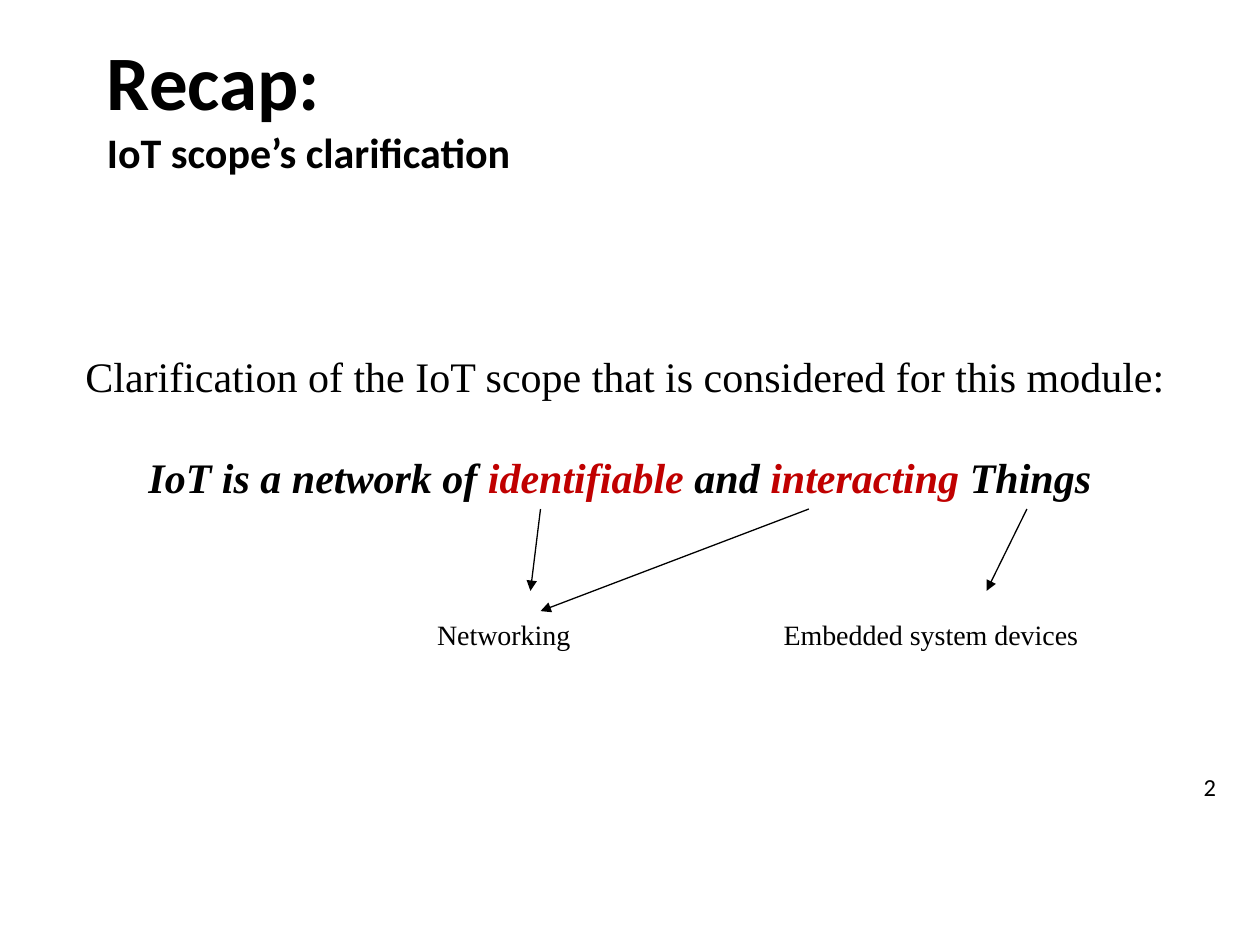
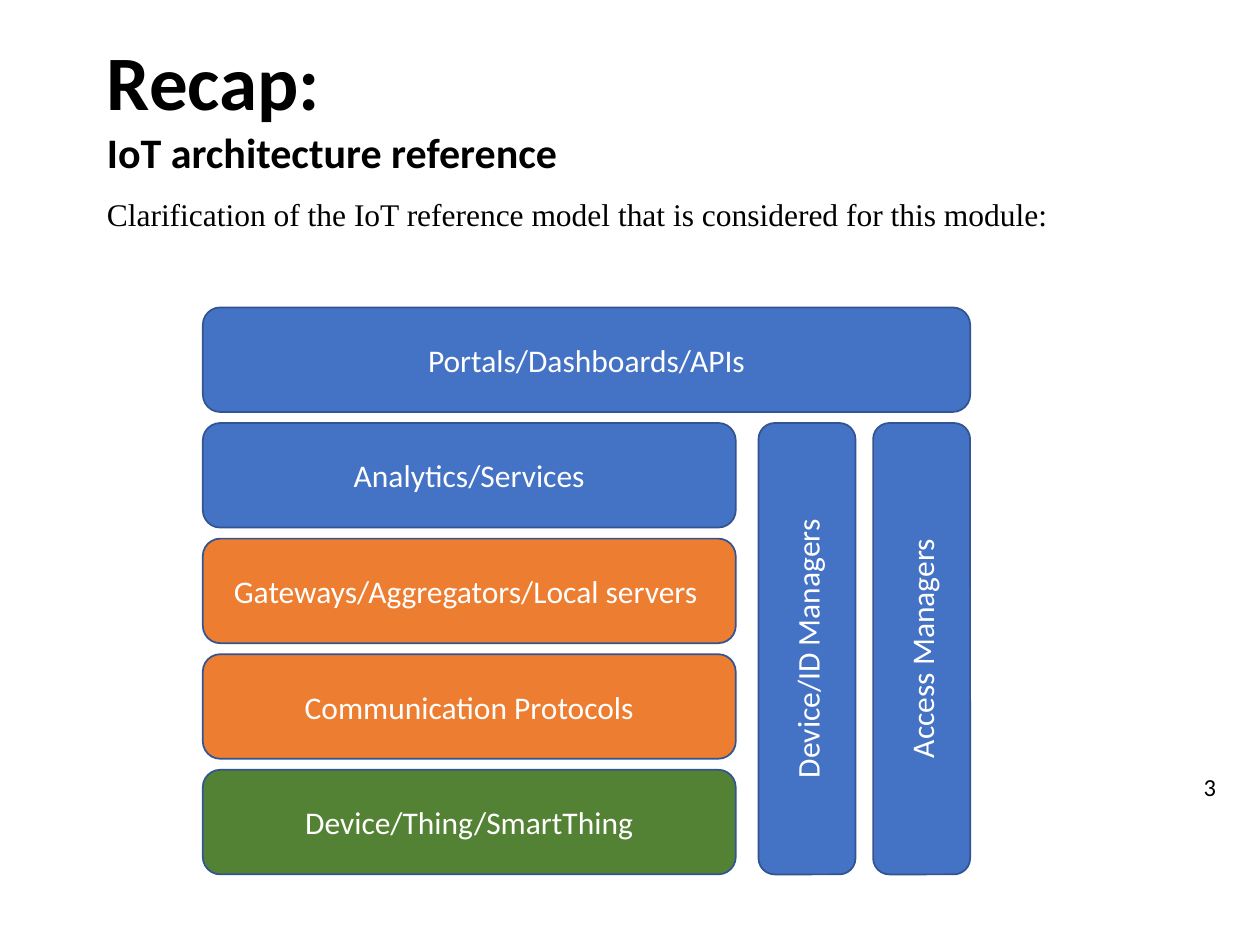
from dataclasses import dataclass

from lxml import etree
from pptx import Presentation
from pptx.dml.color import RGBColor
from pptx.enum.shapes import MSO_CONNECTOR, MSO_SHAPE
from pptx.enum.text import MSO_ANCHOR, PP_ALIGN
from pptx.oxml.ns import qn
from pptx.util import Inches, Pt

LEFT, CENTER, RIGHT = PP_ALIGN.LEFT, PP_ALIGN.CENTER, PP_ALIGN.RIGHT
MIDDLE = MSO_ANCHOR.MIDDLE
ROUNDED = MSO_SHAPE.ROUNDED_RECTANGLE
STRAIGHT = MSO_CONNECTOR.STRAIGHT


@dataclass(frozen=True)
class Theme:
    sans: str = "Calibri"
    serif: str = "Times New Roman"
    black: str = "000000"
    white: str = "FFFFFF"
    red: str = "C00000"
    blue: str = "4472C4"
    orange: str = "ED7D31"
    green: str = "548235"
    outline: str = "325491"
    title: int = 44
    heading: int = 24
    body: int = 18
    label: int = 16
    number: int = 14


T = Theme()


def rgb(value):
    return RGBColor.from_string(value)


def style(p, size, font, color=T.black, bold=None, italic=None, align=LEFT):
    p.alignment = align
    f = p.font
    f.size, f.name, f.bold, f.italic = Pt(size), font, bold, italic
    f.color.rgb = rgb(color)


def add_text(s, box, text, size, font, wrap=True, **kw):
    """Add a text box at box (inches) and return its text frame."""
    tf = s.shapes.add_textbox(*map(Inches, box)).text_frame
    tf.word_wrap = wrap
    p = tf.paragraphs[0]
    p.text = text
    style(p, size, font, **kw)
    return tf


def add_recap_slide(prs, subtitle, number):
    """Add a blank slide with the shared title and slide number."""
    s = prs.slides.add_slide(prs.slide_layouts[6])
    tf = add_text(s, (0.75, 0.25, 8.5, 1.17), "Recap:", T.title, T.sans, bold=True)
    tf.vertical_anchor = MIDDLE
    p = tf.add_paragraph()
    p.text = subtitle
    style(p, T.heading, T.sans, bold=True)
    add_text(s, (7.67, 6.08, 2.08, 0.5), str(number), T.number, T.sans, align=RIGHT)
    return s


def add_arrow(s, start, end):
    c = s.shapes.add_connector(STRAIGHT, *map(Inches, (*start, *end)))
    c.line.color.rgb = rgb(T.black)
    c.line.width = Pt(0.75)
    ln = c.line._get_or_add_ln()
    etree.SubElement(ln, qn("a:tailEnd"), type="triangle")
    etree.SubElement(c._element.spPr, qn("a:effectLst"))


def add_definition(s, box):
    """Place the scope statement and the arrows to its two topics."""
    left, top, width, height = box
    tf = add_text(s, box, "Clarification of the IoT scope that is considered for this module:",
                  T.heading, T.serif, wrap=False)
    p = tf.add_paragraph()
    style(p, T.heading, T.serif, bold=True, italic=True, align=CENTER)
    p.space_before = Pt(29)
    for text, color in (("IoT is a network of ", T.black), ("identifiable", T.red),
                        (" and ", T.black), ("interacting", T.red),
                        (" Things ", T.black)):
        r = p.add_run()
        r.text = text
        r.font.color.rgb = rgb(color)

    bottom = top + height
    for text, x, w in (("Networking", 2.79, 1.39),
                       ("Embedded system devices", 5.54, 2.58)):
        add_text(s, (left + x, bottom + 0.81, w, 0.37), text, T.label, T.serif)
    for x1, x2, drop in ((5.84, 3.71, 0.81), (3.71, 3.63, 0.65), (7.57, 7.25, 0.65)):
        add_arrow(s, (left + x1, bottom), (left + x2, bottom + drop))


def add_block(s, box, text, fill, vertical=False):
    sp = s.shapes.add_shape(ROUNDED, *map(Inches, box))
    sp.shadow.inherit = False
    sp.fill.solid()
    sp.fill.fore_color.rgb = rgb(fill)
    sp.line.color.rgb = rgb(T.outline)
    sp.line.width = Pt(1)
    tf = sp.text_frame
    tf.word_wrap = True
    tf.vertical_anchor = MIDDLE
    if vertical:
        tf._txBody.bodyPr.set("vert", "vert270")
    p = tf.paragraphs[0]
    p.text = text
    style(p, T.body, T.sans, T.white, align=CENTER)


def add_architecture(s, box):
    """Stack five layers, the top one full width, beside two manager columns."""
    left, top, width, height = box
    layers = (("Portals/Dashboards/APIs", T.blue),
              ("Analytics/Services", T.blue),
              ("Gateways/Aggregators/Local servers ", T.orange),
              ("Communication Protocols", T.orange),
              ("Device/Thing/SmartThing", T.green))
    layer_w, layer_h = 4.23, 0.83
    pitch = (height - layer_h) / (len(layers) - 1)
    for i, (text, fill) in enumerate(layers):
        w = layer_w if i else width
        add_block(s, (left, top + i * pitch, w, layer_h), text, fill)

    manager_w, manager_gap = 0.77, 0.14
    managers = ("Access Managers", "Device/ID Managers")
    for i, text in enumerate(managers):
        x = left + width - manager_w - i * (manager_w + manager_gap)
        add_block(s, (x, top + pitch, manager_w, height - pitch), text, T.blue, vertical=True)


def main():
    prs = Presentation()
    prs.slide_width, prs.slide_height = Inches(10), Inches(7.5)

    s = add_recap_slide(prs, "IoT scope’s clarification", 2)
    add_definition(s, (0.58, 2.73, 8.84, 1.31))

    s = add_recap_slide(prs, "IoT architecture reference", 3)
    add_text(s, (0.75, 1.5, 8.77, 0.4),
             "Clarification of the IoT reference model that is considered for this module:",
             T.body, T.serif)
    add_architecture(s, (1.61, 2.44, 6.09, 4.5))

    prs.save("out.pptx")


if __name__ == "__main__":
    main()
